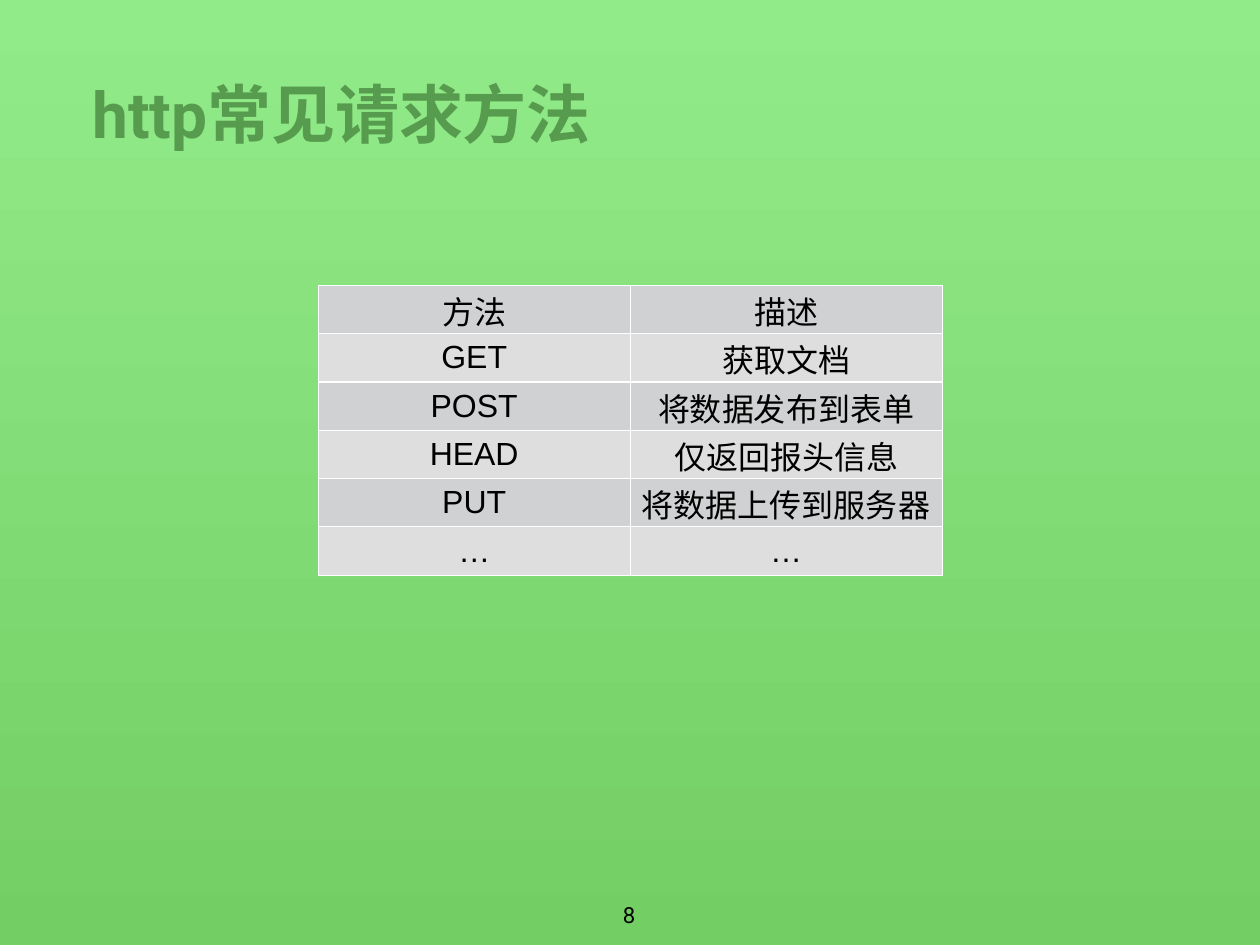
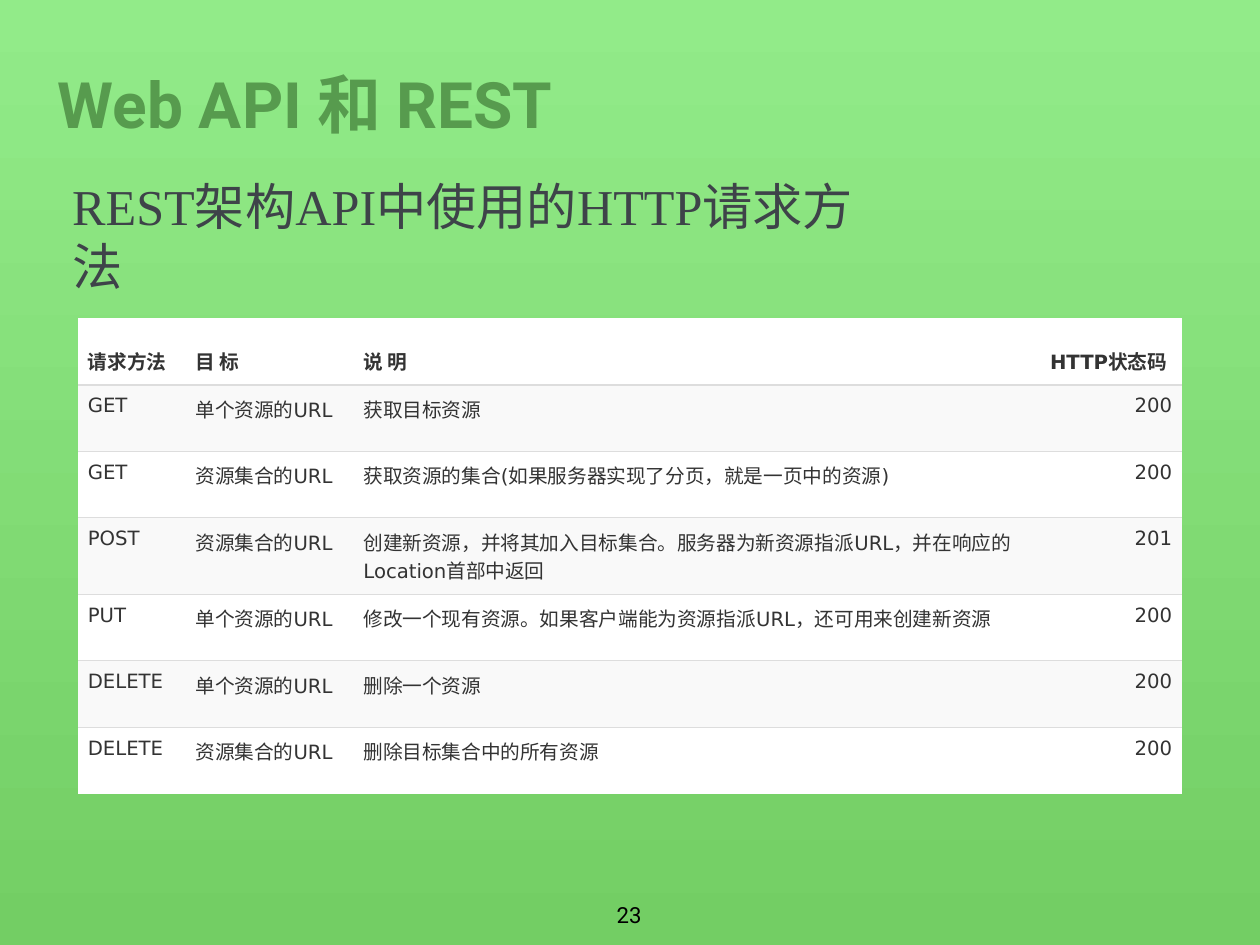
"""Build two slides on HTTP request methods, each with a title, a table and a page number."""
from lxml import etree
from pptx import Presentation
from pptx.dml.color import RGBColor
from pptx.enum import text as t
from pptx.oxml.ns import qn
from pptx.util import Pt

W, H = 1024, 768
BACKGROUND = ("92EB89", "73CE64")
TITLE = dict(size=52, font="Roboto", color="579B4E", bold=True)
NUMBER = dict(size=18, font="Roboto", color="000000", align="c")
SUBTITLE = dict(size=40.8, font="Times New Roman", color="3E4349")
NO_STYLE = "{2D5ABB26-0587-4C30-8999-92F81FD0307C}"
ALIGN = dict(l=t.PP_ALIGN.LEFT, c=t.PP_ALIGN.CENTER, r=t.PP_ALIGN.RIGHT)
TOP, MIDDLE, BOTTOM = t.MSO_ANCHOR.TOP, t.MSO_ANCHOR.MIDDLE, t.MSO_ANCHOR.BOTTOM

METHODS = [
    ("方法", "描述"),
    ("GET", "获取文档"),
    ("POST", "将数据发布到表单"),
    ("HEAD", "仅返回报头信息"),
    ("PUT", "将数据上传到服务器"),
    ("…", "…"),
]
REST_CALLS = [
    ("请求方法", "目 标", "说 明", "HTTP状态码"),
    ("GET", "单个资源的URL", "获取目标资源", "200"),
    ("GET", "资源集合的URL", "获取资源的集合(如果服务器实现了分页，就是一页中的资源)", "200"),
    ("POST", "资源集合的URL", "创建新资源，并将其加入目标集合。服务器为新资源指派URL，并在响应的Location首部中返回", "201"),
    ("PUT", "单个资源的URL", "修改一个现有资源。如果客户端能为资源指派URL，还可用来创建新资源", "200"),
    ("DELETE", "单个资源的URL", "删除一个资源", "200"),
    ("DELETE", "资源集合的URL", "删除目标集合中的所有资源", "200"),
]


def rgb(color):
    return RGBColor.from_string(color)


def write(tf, content, size, font, color, bold=False, align="l", leading=None):
    p = tf.paragraphs[0]
    p.alignment = ALIGN[align]
    if leading:
        p.line_spacing = Pt(leading)
    r = p.add_run()
    r.text = content
    r.font.size, r.font.name, r.font.bold = Pt(size), font, bold
    r.font.color.rgb = rgb(color)


def place(sp, box, content, anchor=MIDDLE, wrap=True, **style):
    sp.left, sp.top, sp.width, sp.height = map(Pt, box)
    tf = sp.text_frame
    tf.auto_size, tf.word_wrap, tf.vertical_anchor = t.MSO_AUTO_SIZE.NONE, wrap, anchor
    tf.margin_left = tf.margin_right = tf.margin_top = tf.margin_bottom = Pt(4)
    write(tf, content, **style)


def add_text(s, box, content, **style):
    place(s.shapes.add_textbox(0, 0, 0, 0), box, content, **style)


def add_slide(prs, title, title_box, number):
    s = prs.slides.add_slide(prs.slide_layouts[5])
    place(s.shapes.title, title_box, title, **TITLE)
    add_text(s, (W / 2 - 15.7, 728.5, 30, 30), number, anchor=TOP, wrap=False, **NUMBER)
    return s


def add_border(cell, side, color, width):
    ln = etree.SubElement(cell._tc.get_or_add_tcPr(), qn("a:ln" + side), w=str(Pt(width)))
    fill = etree.SubElement(ln, qn("a:solidFill"))
    etree.SubElement(fill, qn("a:srgbClr"), val=color)


def add_table(s, left, top, widths, row_h, rows, look):
    """Add a table whose look(row, column) gives fill, anchor, margins, borders and text style."""
    frame = s.shapes.add_table(len(rows), len(widths), Pt(left), Pt(top),
                               Pt(sum(widths)), Pt(row_h * len(rows)))
    table = frame.table
    table.first_row = table.horz_banding = False
    table._tbl.tblPr.find(qn("a:tableStyleId")).text = NO_STYLE
    for column, width in zip(table.columns, widths):
        column.width = Pt(width)
    for i, row in enumerate(rows):
        table.rows[i].height = Pt(row_h)
        for j, content in enumerate(row):
            cell = table.cell(i, j)
            fill, anchor, margins, borders, style = look(i, j)
            for side, color, width in borders:
                add_border(cell, side, color, width)
            cell.fill.solid()
            cell.fill.fore_color.rgb = rgb(fill)
            cell.vertical_anchor = anchor
            side, cell.margin_top, cell.margin_bottom = map(Pt, margins)
            cell.margin_left = cell.margin_right = side
            write(cell.text_frame, content, **style)


def methods_look(i, j):
    fill = "DEDEDF" if i % 2 else "D0D1D2"
    borders = [(side, "FFFFFF", 1) for side in "LRTB"]
    chinese = METHODS[i][j] >= "一"
    margins = (4, 8, 0) if chinese else (4, 4, 4)
    style = dict(size=26, font="Arial", color="000000", align="c",
                 leading=31.2 if chinese else None)
    return fill, MIDDLE, margins, borders, style


def rest_look(i, j):
    fill = "F9F9F9" if i % 2 else "FFFFFF"
    borders = []
    if i > 0:
        borders.append(("T", "DDDDDD", 1.7 if i == 1 else 0.85))
    if i < len(REST_CALLS) - 1:
        borders.append(("B", "DDDDDD", 0.85 if i else 1.7))
    style = dict(size=16, font="DejaVu Sans", color="333333", bold=i == 0,
                 align="r" if i and j == 3 else "l")
    return fill, TOP if i else BOTTOM, (8, 8, 8), borders, style


def main():
    prs = Presentation()
    prs.slide_width, prs.slide_height = Pt(W), Pt(H)
    fill = prs.slide_master.background.fill
    fill.gradient()
    fill.gradient_angle = 270
    for stop, color in zip(fill.gradient_stops, BACKGROUND):
        stop.color.rgb = rgb(color)

    s = add_slide(prs, "http常见请求方法", (71, 51.3, 419, 81.5), "8")
    add_table(s, 258.7, 232, (253.5, 253.5), 39.2, METHODS, methods_look)

    s = add_slide(prs, "Web API 和 REST", (42.8, 43, 436.5, 81.5), "23")
    add_text(s, (54.7, 159, 683, 65), "REST架构API中使用的HTTP请求方法", **SUBTITLE)
    add_table(s, 63.4, 258.5, (87.4, 136.6, 558, 115.2), 54.1, REST_CALLS, rest_look)
    prs.save("out.pptx")


if __name__ == "__main__":
    main()
